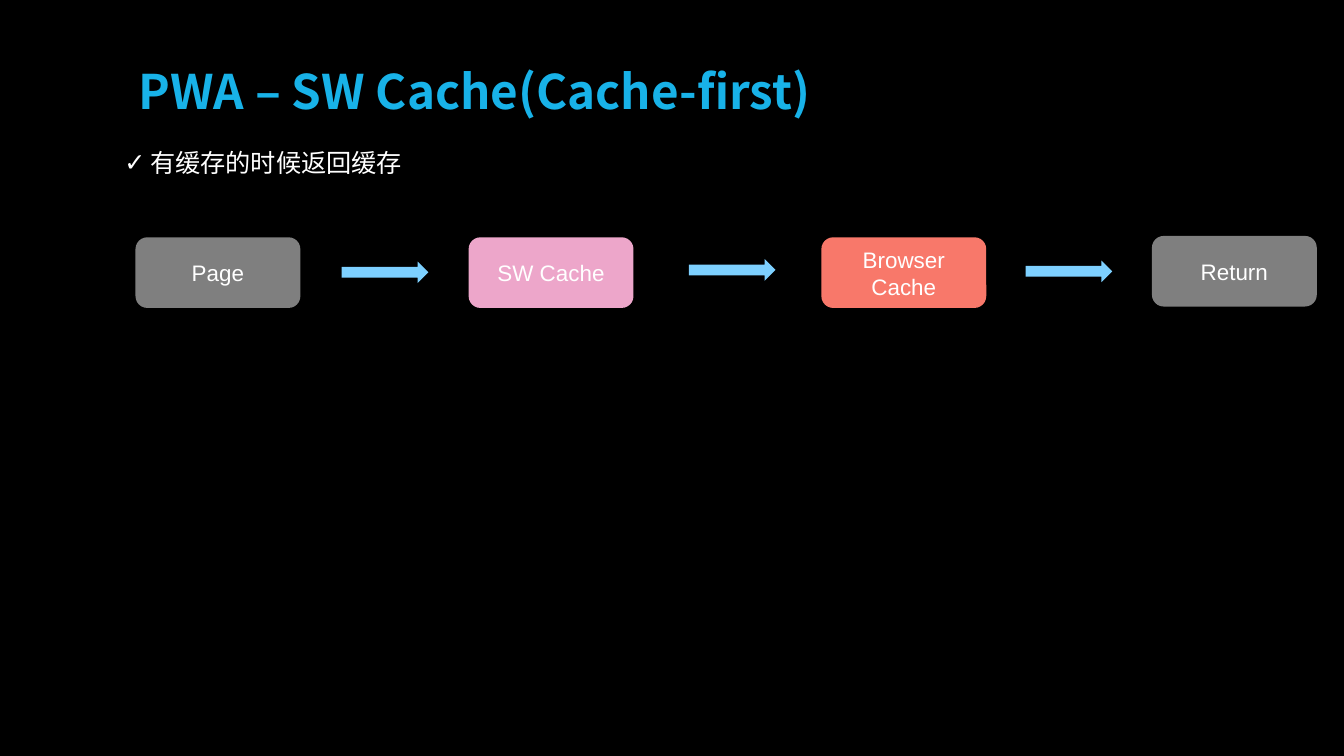
import pptx
import pptx.dml.color
import pptx.enum.shapes
import pptx.enum.text
import pptx.oxml.ns
import pptx.util
from lxml import etree

Cm = pptx.util.Cm
PRESET = pptx.enum.shapes.MSO_SHAPE
ALIGN = pptx.enum.text.PP_ALIGN
ANCHOR = pptx.enum.text.MSO_ANCHOR


def set_color(color_format, hex_color):
    color_format.rgb = pptx.dml.color.RGBColor.from_string(hex_color)


def write(shape, text, size, color="FFFFFF", font="Arial", bold=False,
          align=ALIGN.LEFT, anchor=ANCHOR.MIDDLE, inset=0.15, bullet=None):
    frame = shape.text_frame
    frame.word_wrap = True
    frame.auto_size = pptx.enum.text.MSO_AUTO_SIZE.NONE
    frame.vertical_anchor = anchor
    frame.margin_left = frame.margin_right = Cm(inset)
    frame.margin_top = frame.margin_bottom = Cm(0.15)
    paragraph = frame.paragraphs[0]
    paragraph.text = text
    paragraph.alignment = align
    paragraph.space_before = pptx.util.Pt(0)
    if bullet:
        properties = paragraph._p.get_or_add_pPr()
        properties.set("marL", str(Cm(1.3)))
        properties.set("indent", str(-Cm(1.3)))
        bullet_color = etree.SubElement(properties, pptx.oxml.ns.qn("a:buClr"))
        etree.SubElement(bullet_color, pptx.oxml.ns.qn("a:srgbClr"), val=color)
        etree.SubElement(properties, pptx.oxml.ns.qn("a:buChar"), char=bullet)
    run_font = paragraph.runs[0].font
    run_font.name = font
    run_font.size = pptx.util.Pt(size)
    run_font.bold = bold
    set_color(run_font.color, color)


# Slide with black background
presentation = pptx.Presentation()
presentation.slide_width, presentation.slide_height = Cm(67.74), Cm(38.1)
slide = presentation.slides.add_slide(presentation.slide_layouts[1])
slide.background.fill.solid()
set_color(slide.background.fill.fore_color, "000000")

# Title and cache rule
title, cache_rule = slide.placeholders
title.left, title.top, title.width, title.height = Cm(6.83), Cm(2.72), Cm(54.05), Cm(3.63)
write(title, "PWA – SW Cache(Cache-first)", size=68, color="18B2E8",
      font="Noto Sans CJK SC", bold=True)
cache_rule.left, cache_rule.top, cache_rule.width, cache_rule.height = (
    Cm(6.02), Cm(7.29), Cm(39.04), Cm(1.8))
write(cache_rule, "有缓存的时候返回缓存", size=36, anchor=ANCHOR.TOP, inset=0.25, bullet="✓")

# Request flow: stages, then the arrows between them
stages = [
    ("Page", 6.83, 11.96, "7F7F7F"),
    ("SW Cache", 23.62, 11.96, "EDA6CA"),
    ("Browser Cache", 41.4, 11.96, "F8786A"),
    ("Return", 58.06, 11.89, "7F7F7F"),
]
steps = [(PRESET.ROUNDED_RECTANGLE, label, left, top, 8.31, 3.56, fill)
         for label, left, top, fill in stages]
steps += [(PRESET.RIGHT_ARROW, "", left, top, 4.37, 1.09, "7DD0FF")
          for left, top in [(17.22, 13.18), (34.72, 13.06), (51.69, 13.13)]]

for preset, label, left, top, width, height, fill in steps:
    step = slide.shapes.add_shape(preset, Cm(left), Cm(top), Cm(width), Cm(height))
    step.shadow.inherit = False
    step.fill.solid()
    set_color(step.fill.fore_color, fill)
    step.line.fill.background()
    if label:
        write(step, label, size=32, align=ALIGN.CENTER)

presentation.save("out.pptx")
